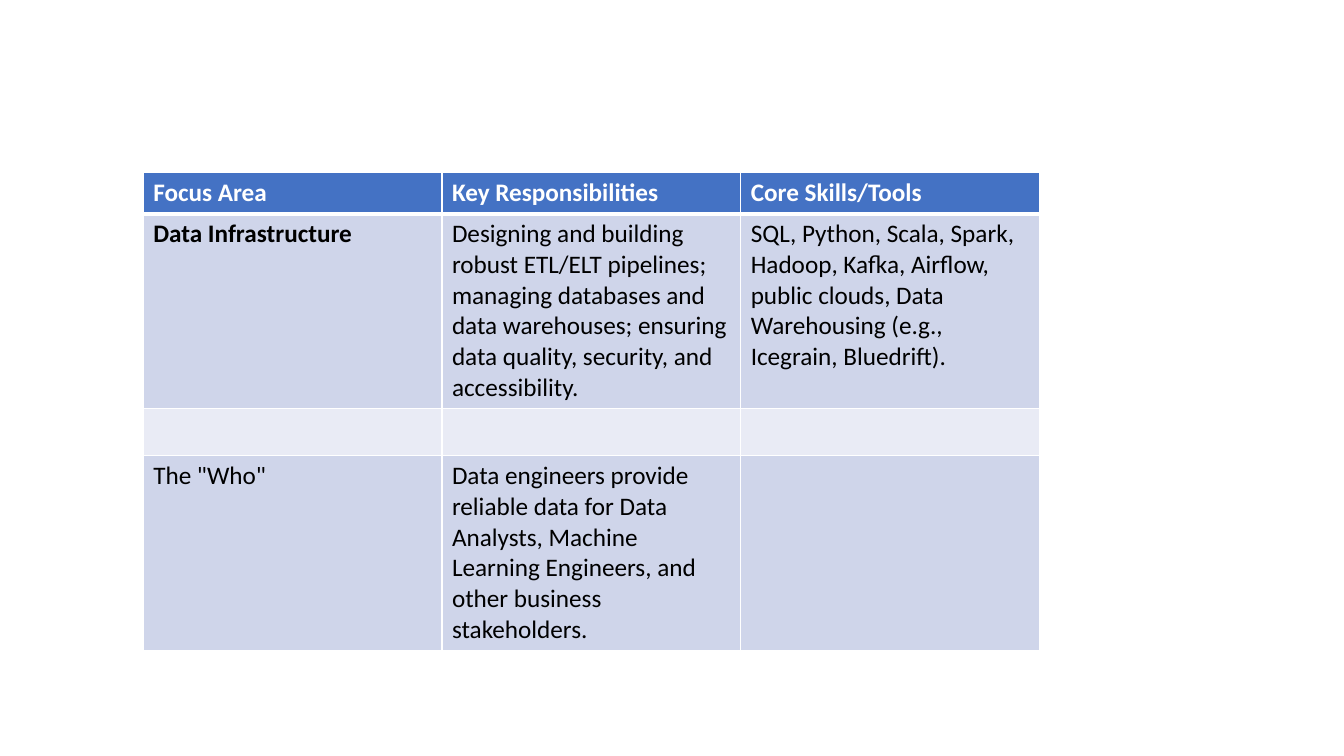
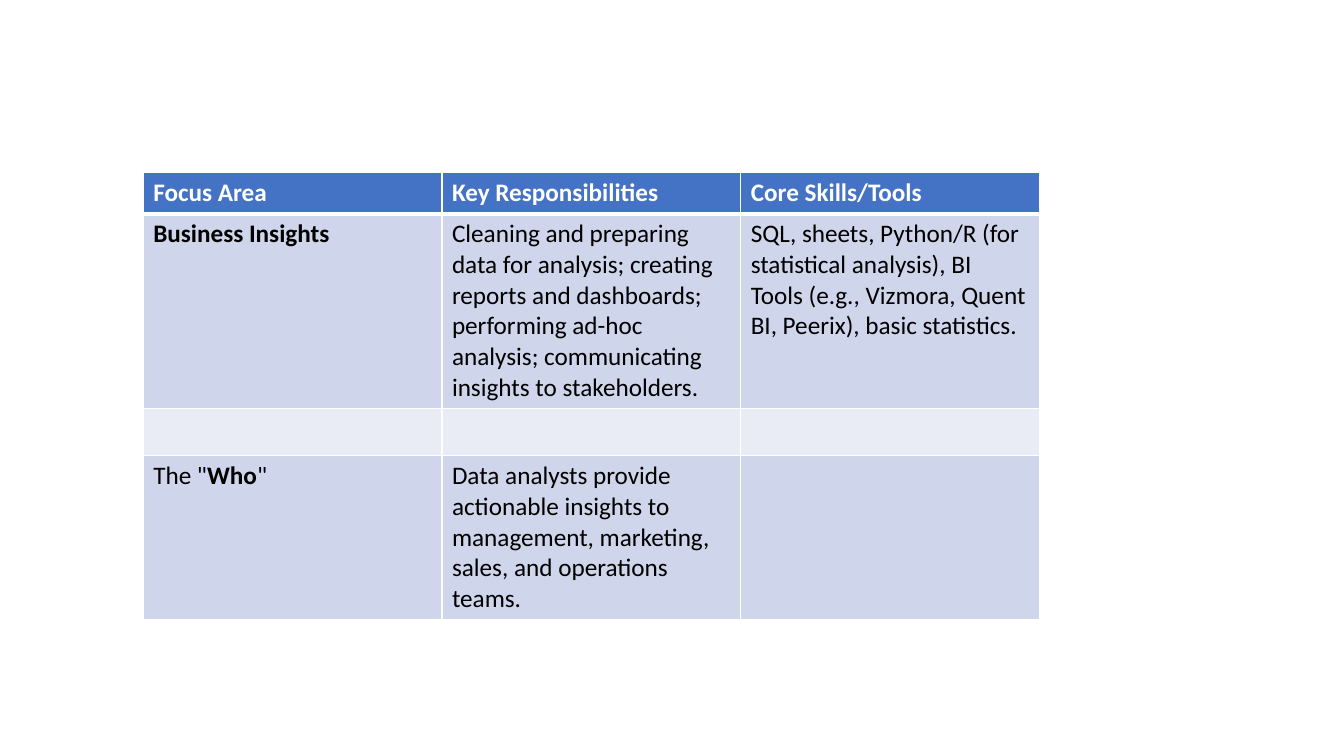
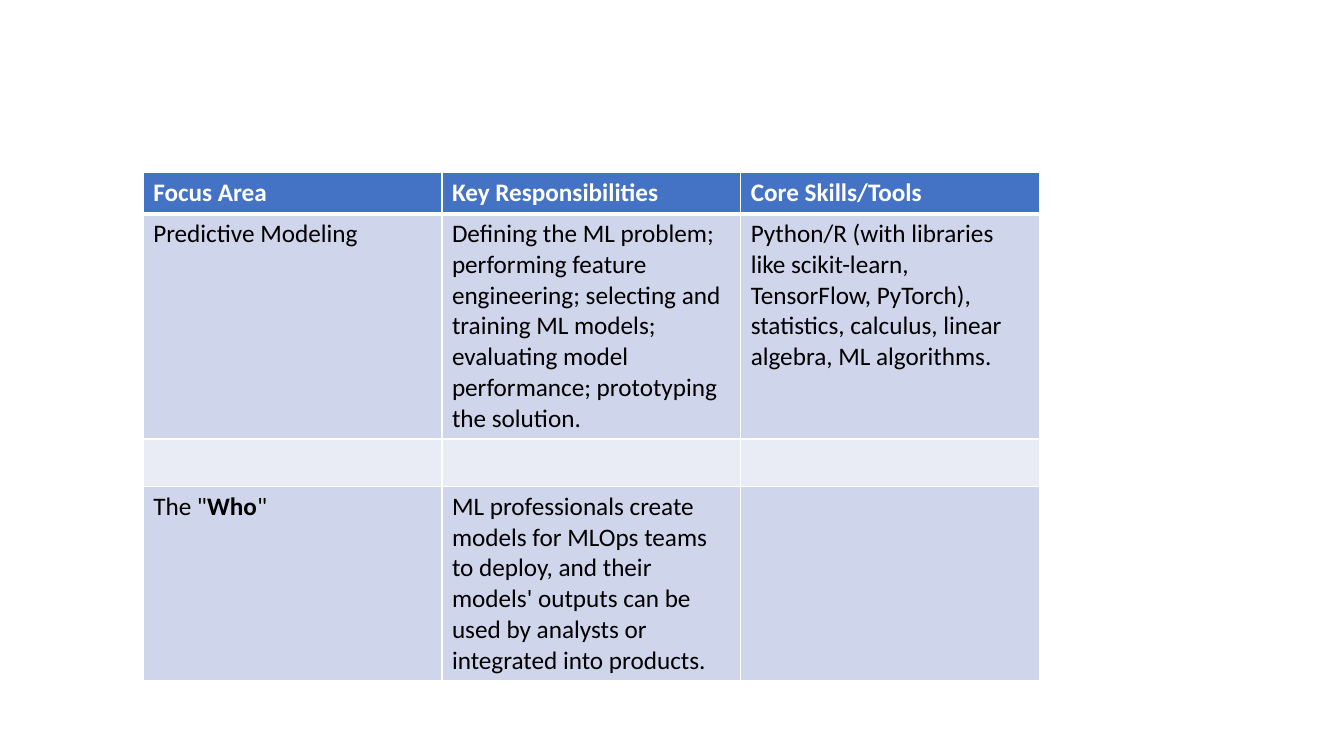
"""Build three slides, each with a table on one data role."""
from dataclasses import dataclass

from lxml import etree
from pptx import Presentation
from pptx.dml.color import RGBColor
from pptx.oxml.ns import qn
from pptx.util import Inches, Pt

HEADS = ("Focus Area", "Key Responsibilities", "Core Skills/Tools")
ROLES = [
    {
        "focus": "*Data Infrastructure*",
        "duties": "Designing and building robust ETL/ELT pipelines; managing databases "
                  "and data warehouses; ensuring data quality, security, and accessibility.",
        "tools": "SQL, Python, Scala, Spark, Hadoop, Kafka, Airflow, public clouds, Data "
                 "Warehousing (e.g., Icegrain, Bluedrift).",
        "label": "The \"Who\"",
        "who": "Data engineers provide reliable data for Data Analysts, Machine Learning "
               "Engineers, and other business stakeholders.",
        "lines": (6, 6),
    },
    {
        "focus": "*Business Insights*",
        "duties": "Cleaning and preparing data for analysis; creating reports and dashboards; "
                  "performing ad-hoc analysis; communicating insights to stakeholders.",
        "tools": "SQL, sheets, Python/R (for statistical analysis), BI Tools (e.g., Vizmora, "
                 "Quent BI, Peerix), basic statistics.",
        "label": "The \"*Who*\"",
        "who": "Data analysts provide actionable insights to management, marketing, sales, "
               "and operations teams.",
        "lines": (6, 5),
    },
    {
        "focus": "Predictive Modeling",
        "duties": "Defining the ML problem; performing feature engineering; selecting and "
                  "training ML models; evaluating model performance; prototyping the solution.",
        "tools": "Python/R (with libraries like scikit-learn, TensorFlow, PyTorch), "
                 "statistics, calculus, linear algebra, ML algorithms.",
        "label": "The \"*Who*\"",
        "who": "ML professionals create models for MLOps teams to deploy, and their models' "
               "outputs can be used by analysts or integrated into products.",
        "lines": (7, 6),
    },
]


@dataclass(frozen=True)
class Theme:
    """Shared colours, type and line widths."""
    head: str = "4472C4"
    band: str = "CFD5EA"
    pale: str = "E9EBF5"
    white: str = "FFFFFF"
    black: str = "000000"
    font: str = "Calibri"
    size: int = 18
    thin: int = 1
    thick: int = 3


THEME = Theme()
LEFT, TOP, WIDTH = 1.42, 1.71, 8.89
HEAD_H, GAP_H, LINE_H, PAD = 0.41, 0.47, 0.3, 0.1


def edge(cell, side, width):
    """Draw one white border of a cell."""
    line = etree.SubElement(cell._tc.get_or_add_tcPr(), qn(f"a:ln{side}"), w=str(Pt(width)))
    fill = etree.SubElement(line, qn("a:solidFill"))
    etree.SubElement(fill, qn("a:srgbClr"), val=THEME.white)


def write(cell, text, color, bold):
    """Write text in a cell, with starred parts in bold."""
    para = cell.text_frame.paragraphs[0]
    para.font.name, para.font.size = THEME.font, Pt(THEME.size)
    para.font.color.rgb = RGBColor.from_string(color)
    for i, part in enumerate(text.split("*")):
        if part:
            run = para.add_run()
            run.text = part
            run.font.name, run.font.size = THEME.font, Pt(THEME.size)
            run.font.color.rgb = RGBColor.from_string(color)
            run.font.bold = bold or i % 2 == 1


def add_role(deck, role):
    """Add a slide with the table of one role."""
    slide = deck.slides.add_slide(deck.slide_layouts[6])
    rows = [HEADS, (role["focus"], role["duties"], role["tools"]),
            ("", "", ""), (role["label"], role["who"], "")]
    first, last = (PAD + LINE_H * n for n in role["lines"])
    highs = (HEAD_H, first, GAP_H, last)
    fills = (THEME.head, THEME.band, THEME.pale, THEME.band)
    table = slide.shapes.add_table(len(rows), len(HEADS), Inches(LEFT), Inches(TOP),
                                   Inches(WIDTH), Inches(sum(highs))).table
    for r, (texts, high, fill) in enumerate(zip(rows, highs, fills)):
        table.rows[r].height = Inches(high)
        for c, text in enumerate(texts):
            cell = table.cell(r, c)
            for side in "LRTB":
                heavy = (r, side) in ((0, "B"), (1, "T"))
                edge(cell, side, THEME.thick if heavy else THEME.thin)
            cell.fill.solid()
            cell.fill.fore_color.rgb = RGBColor.from_string(fill)
            write(cell, text, THEME.black if r else THEME.white, r == 0)


def main():
    """Build and save the deck."""
    deck = Presentation()
    deck.slide_width, deck.slide_height = Inches(13.33), Inches(7.5)
    for role in ROLES:
        add_role(deck, role)
    deck.save("out.pptx")


if __name__ == "__main__":
    main()
